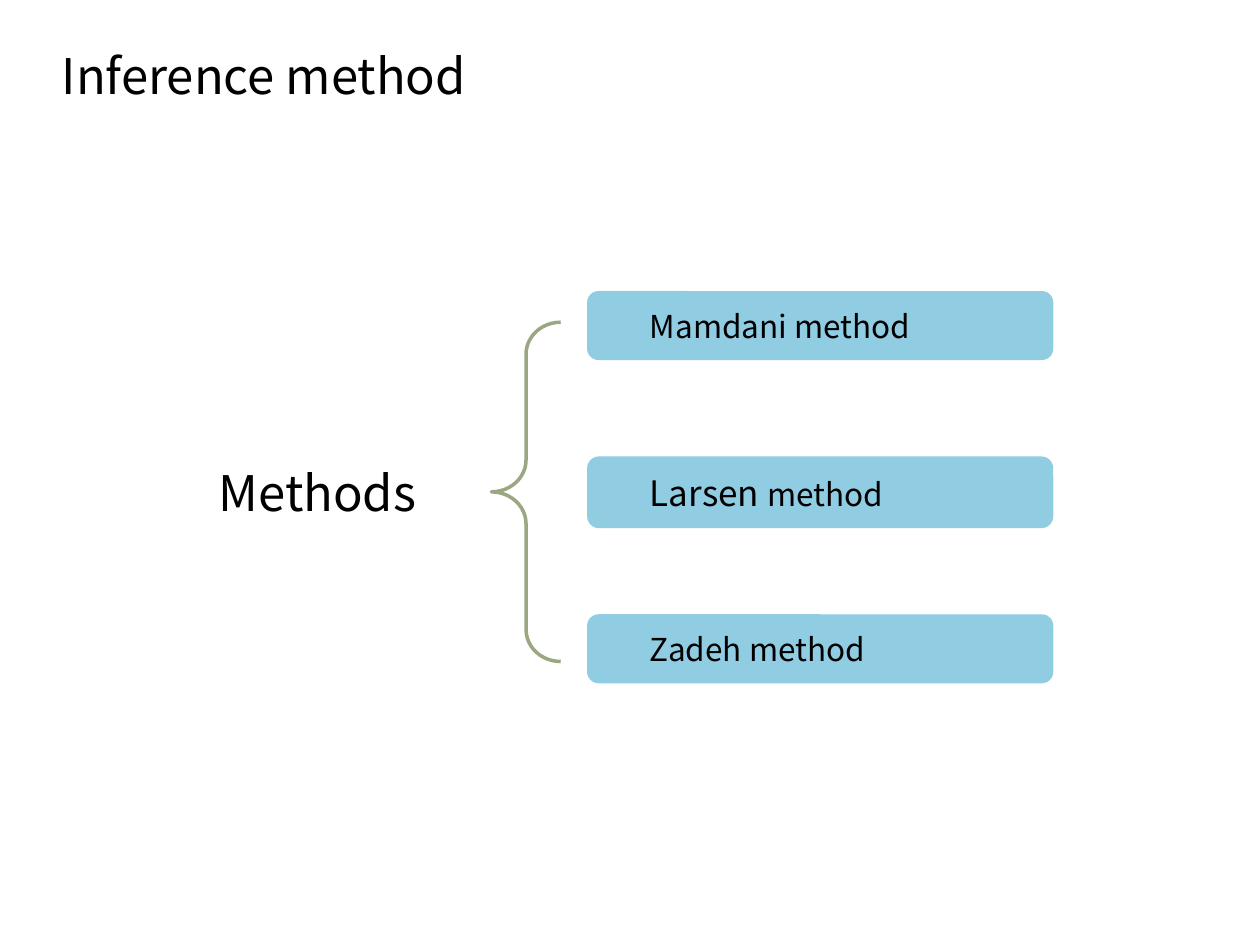
"""Build the slide that lists the fuzzy inference methods."""
from dataclasses import dataclass

from pptx import Presentation
from pptx.dml.color import RGBColor as Rgb
from pptx.enum.shapes import MSO_SHAPE as Kind
from pptx.enum.text import MSO_ANCHOR as Anchor, PP_ALIGN as Align
from pptx.util import Inches, Pt

WIDE, HIGH = 10, 7.5
FONT = "Noto Sans CJK SC"
INK, SKY, SAGE = "000000", "90CCE2", "9AA781"
LEFT, SPAN, INDENT = 0.466, 0.37, 0.04


@dataclass(frozen=True)
class Area:
    """Hold a box as shares of the slide's size."""
    left: float
    top: float
    width: float
    height: float

    def place(self) -> tuple:
        """Return left, top, width and height as lengths."""
        return (Inches(self.left * WIDE), Inches(self.top * HIGH),
                Inches(self.width * WIDE), Inches(self.height * HIGH))


@dataclass(frozen=True)
class Method:
    """Describe one bar and the (text, size) runs of its label."""
    top: float
    height: float
    runs: tuple


METHODS = (
    Method(0.308, 0.073, (("Mamdani method", 18),)),
    Method(0.483, 0.076, (("Larsen ", 20), ("method", 18))),
    Method(0.65, 0.073, (("Zadeh method", 18),)),
)


def tint(code: str) -> Rgb:
    """Turn a hex string into a colour."""
    return Rgb.from_string(code)


def write(shape, runs: tuple, align=Align.LEFT, wrap: bool = True) -> None:
    """Fill a shape's text frame with formatted runs."""
    frame = shape.text_frame
    look = {"word_wrap": wrap, "vertical_anchor": Anchor.MIDDLE,
            "margin_left": Inches(0.1), "margin_right": Inches(0.1),
            "margin_top": Inches(0.05), "margin_bottom": Inches(0.05)}
    for key, value in look.items():
        setattr(frame, key, value)
    line = frame.paragraphs[0]
    line.alignment = align
    for text, size in runs:
        run = line.add_run()
        run.text = text
        style = {"name": FONT, "size": Pt(size), "bold": False}
        for key, value in style.items():
            setattr(run.font, key, value)
        run.font.color.rgb = tint(INK)


def head(slide, area: Area, text: str) -> None:
    """Move and format the title placeholder."""
    title = slide.shapes.title
    for key, value in zip(("left", "top", "width", "height"), area.place()):
        setattr(title, key, value)
    write(title, ((text, 28),), wrap=False)


def label(slide, area: Area, runs: tuple, **form) -> None:
    """Add a text box."""
    write(slide.shapes.add_textbox(*area.place()), runs, **form)


def brace(slide, area: Area) -> None:
    """Add the left brace that spans the methods."""
    shape = slide.shapes.add_shape(Kind.LEFT_BRACE, *area.place())
    shape.shadow.inherit = False
    shape.adjustments[0] = 0.46
    shape.fill.background()
    shape.line.color.rgb = tint(SAGE)
    shape.line.width = Pt(2)


def bar(slide, item: Method) -> None:
    """Add one rounded bar with its label."""
    area = Area(LEFT, item.top, SPAN, item.height)
    shape = slide.shapes.add_shape(Kind.ROUNDED_RECTANGLE, *area.place())
    shape.shadow.inherit = False
    shape.fill.solid()
    shape.fill.fore_color.rgb = tint(SKY)
    shape.line.fill.background()
    label(slide, Area(LEFT + INDENT, item.top, SPAN - INDENT, item.height),
          item.runs)


def main() -> None:
    """Draw the slide and save it."""
    deck = Presentation()
    deck.slide_width, deck.slide_height = Inches(WIDE), Inches(HIGH)
    slide = deck.slides.add_slide(deck.slide_layouts[5])
    head(slide, Area(0.039, 0.041, 0.351, 0.076), "Inference method")
    label(slide, Area(0.159, 0.483, 0.186, 0.076), (("Methods", 28),),
          align=Align.CENTER, wrap=False)
    brace(slide, Area(0.39, 0.341, 0.055, 0.359))
    for item in METHODS:
        bar(slide, item)
    deck.save("out.pptx")


if __name__ == "__main__":
    main()
